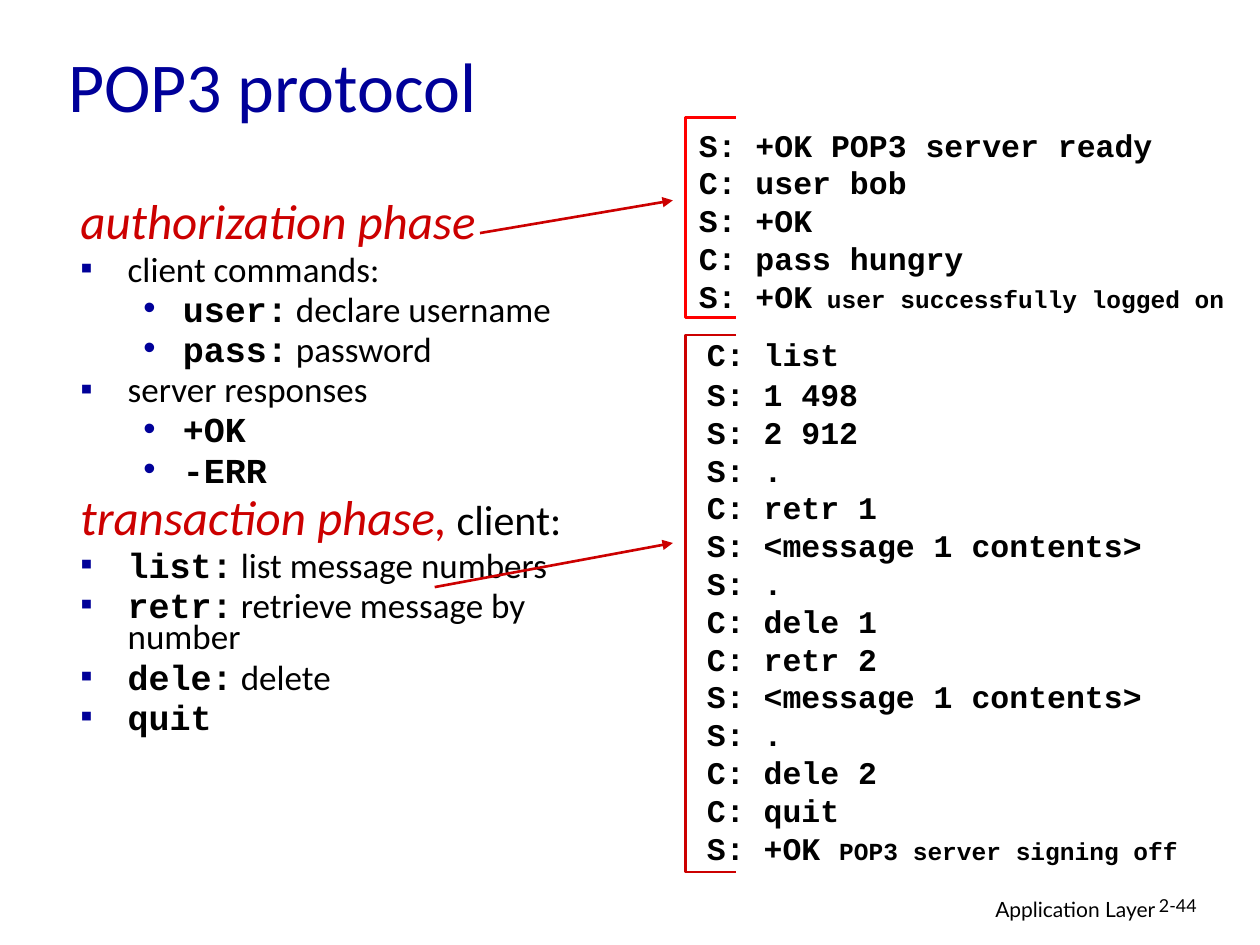
from lxml import etree
from pptx import Presentation
from pptx import util as u
from pptx.dml.color import RGBColor
from pptx.enum import shapes, text
from pptx.oxml import ns

Pt = u.Pt
COLORS = {"title": "000099", "bullet": "000099", "phase": "CC0000", "text": "000000",
          "bracket": "FF0000", "arrow": "CC0000"}
SANS, MONO, FOOTER = "Calibri", "Courier New", "Lato"


def color(name):
    return RGBColor.from_string(COLORS[name])


def add_run(paragraph, words, size=20, font=SANS, fill="text", bold=False, italic=False):
    run = paragraph.add_run()
    run.text = words
    run.font.size, run.font.name = Pt(size), font
    run.font.bold, run.font.italic = bold, italic
    run.font.color.rgb = color(fill)


def add_text_box(slide, box):
    shape = slide.shapes.add_textbox(*map(Pt, box))
    shape.text_frame.word_wrap = True
    return shape.text_frame


def next_paragraph(frame, index):
    return frame.add_paragraph() if index else frame.paragraphs[0]


def set_indent(paragraph, left, hanging, bullet=None):
    properties = paragraph._p.get_or_add_pPr()
    properties.set("marL", str(Pt(left)))
    properties.set("indent", str(-Pt(hanging)))
    if bullet:
        tint = etree.SubElement(properties, ns.qn("a:buClr"))
        etree.SubElement(tint, ns.qn("a:srgbClr"), val=COLORS["bullet"])
        etree.SubElement(properties, ns.qn("a:buFont"), typeface="Arial")
        etree.SubElement(properties, ns.qn("a:buChar"), char=bullet)


def fill_title(slide, box):
    title = slide.shapes.title
    title.left, title.top, title.width, title.height = map(Pt, box)
    title.text_frame.vertical_anchor = text.MSO_ANCHOR.MIDDLE
    paragraph = title.text_frame.paragraphs[0]
    paragraph.alignment = text.PP_ALIGN.LEFT
    add_run(paragraph, "POP3 protocol", size=40, fill="title")


def add_phases(slide, box):
    # Each entry: level (0 heading, 1 bullet, 2 sub-bullet), command, explanation
    entries = [
        (0, "authorization phase", ""),
        (1, "", "client commands:"),
        (2, "user:", " declare username"),
        (2, "pass:", " password"),
        (1, "", "server responses"),
        (2, "+OK", ""),
        (2, "-ERR", ""),
        (0, "transaction phase,", " client:"),
        (1, "list:", " list message numbers"),
        (1, "retr:", " retrieve message by number"),
        (1, "dele:", " delete"),
        (1, "quit", ""),
    ]
    indents = [(27, 27, None), (27, 27, "▪"), (58.5, 22.5, "•")]
    frame = add_text_box(slide, box)
    for index, (level, command, explanation) in enumerate(entries):
        paragraph = next_paragraph(frame, index)
        paragraph.line_spacing = 0.75
        paragraph.space_before = Pt(5 if level else 6 if index else 7)
        set_indent(paragraph, *indents[level])
        if level == 0:
            add_run(paragraph, command, size=28, fill="phase", italic=True)
        elif command:
            add_run(paragraph, command, font=MONO, bold=True)
        if explanation:
            add_run(paragraph, explanation, size=20 if level else 24)


def add_dialogue(slide, box, lines, remark, first_gap=0):
    """Lists the exchange; the remark ends the last line in smaller type."""
    frame = add_text_box(slide, box)
    for index, line in enumerate(lines):
        paragraph = next_paragraph(frame, index)
        paragraph.line_spacing = Pt(21.6)
        add_run(paragraph, line, size=18, font=MONO, bold=True)
    frame.paragraphs[0].space_after = Pt(first_gap)
    add_run(frame.paragraphs[-1], remark, size=14, font=MONO, bold=True)


def add_bracket(slide, box, line_color):
    left, top, width, height = map(Pt, box)
    builder = slide.shapes.build_freeform(left + width, top)
    builder.add_line_segments(
        [(left, top), (left, top + height), (left + width, top + height)], close=False)
    shape = builder.convert_to_shape()
    shape.shadow.inherit = False
    shape.fill.background()
    shape.line.color.rgb = color(line_color)
    shape.line.width = Pt(1.5)


def add_arrow(slide, start, end):
    arrow = slide.shapes.add_connector(
        shapes.MSO_CONNECTOR.STRAIGHT, *map(Pt, start + end))
    arrow.line.color.rgb = color("arrow")
    arrow.line.width = Pt(1.5)
    etree.SubElement(arrow.line._get_or_add_ln(), ns.qn("a:tailEnd"), type="triangle")
    etree.SubElement(arrow._element.spPr, ns.qn("a:effectLst"))


def add_footer(slide, box, number_width):
    left, top, width, height = box
    label = add_text_box(slide, box).paragraphs[0]
    label.alignment = text.PP_ALIGN.RIGHT
    add_run(label, "Application Layer", size=12, font=FOOTER)
    number_box = (left + width - 12.2, top, number_width, height)
    number = add_text_box(slide, number_box).paragraphs[0]
    number.line_spacing = 0.9
    add_run(number, "2-44", size=10.2, font=FOOTER)


def main():
    presentation = Presentation()
    presentation.slide_width, presentation.slide_height = Pt(720), Pt(540)
    slide = presentation.slides.add_slide(presentation.slide_layouts[5])

    add_footer(slide, (439.2, 509, 228.2, 22), 53.3)
    fill_title(slide, (31.7, 10.1, 612, 76.3))
    add_phases(slide, (38.9, 113, 312.5, 365.8))

    # Transaction exchange
    message = ["S: <message 1 contents>", "S: ."]
    add_dialogue(
        slide, (396.9, 187.9, 310, 311),
        ["C: list", "S: 1 498", "S: 2 912", "S: .", "C: retr 1", *message,
         "C: dele 1", "C: retr 2", *message, "C: dele 2", "C: quit", "S: +OK "],
        "POP3 server signing off", first_gap=1.2)

    # Authorization exchange
    add_dialogue(
        slide, (392.2, 68.3, 325, 115.2),
        ["S: +OK POP3 server ready", "C: user bob", "S: +OK", "C: pass hungry", "S: +OK"],
        " user successfully logged on")

    # Brackets and the arrows that link each phase to its exchange
    add_bracket(slide, (391.6, 67, 29, 114.5), "bracket")
    add_arrow(slide, (274.3, 133.2), (384.5, 114.5))
    add_bracket(slide, (391.6, 191.5, 29, 306.7), "arrow")
    add_arrow(slide, (248.4, 335.5), (384.5, 310.3))

    presentation.save("out.pptx")


if __name__ == "__main__":
    main()
